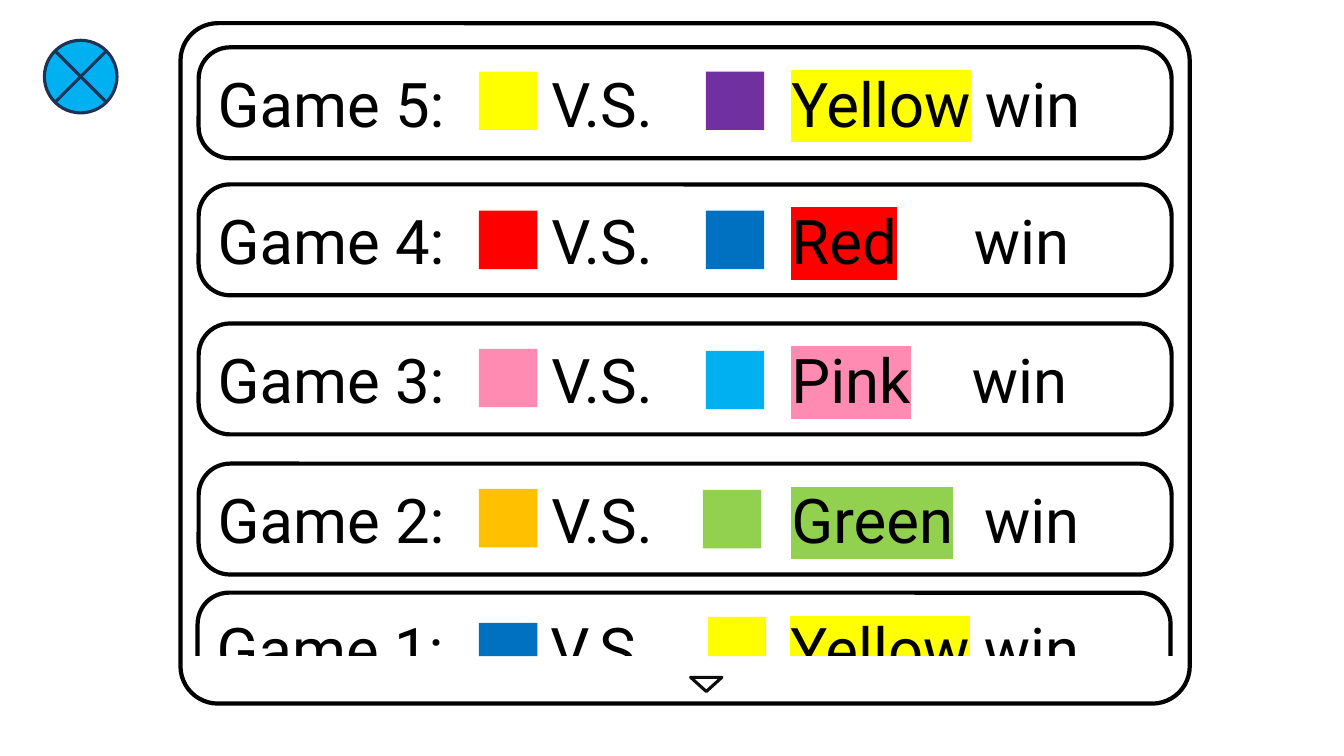
from dataclasses import dataclass

from lxml.etree import SubElement
from pptx import Presentation
from pptx.dml.color import RGBColor
from pptx.enum.shapes import MSO_SHAPE
from pptx.enum.text import MSO_ANCHOR, PP_ALIGN
from pptx.oxml import parse_xml
from pptx.oxml.ns import nsdecls, qn
from pptx.util import Inches, Pt


@dataclass(frozen=True)
class Theme:
    font: str = "Roboto"
    size: int = 44
    ink: str = "000000"
    paper: str = "FFFFFF"
    close_line: str = "1E3256"
    arrow_line: str = "0D0D0D"
    yellow: str = "FFFF00"
    purple: str = "7030A0"
    red: str = "FF0000"
    blue: str = "0070C0"
    pink: str = "FF8BB2"
    sky: str = "00B0F0"
    orange: str = "FFC000"
    green: str = "92D050"


THEME = Theme()
VERSUS_TAB, WINNER_TAB = 3.31, 5.69
SWATCH = 0.58
LIST_END = 6.51

# Game number, card left and top, winner, winner colour, tab of "win"
GAMES = [
    (5, 1.97, 0.47, "Yellow", THEME.yellow, 7.61),
    (4, 1.97, 1.83, "Red", THEME.red, 7.5),
    (3, 1.97, 3.21, "Pink", THEME.pink, 7.48),
    (2, 1.97, 4.6, "Green", THEME.green, 7.6),
    (1, 1.96, 5.88, "Yellow", THEME.yellow, 7.61),
]

# Left, top and colour of each player's square
PLAYERS = [
    (4.75, 0.71, THEME.yellow), (7, 0.71, THEME.purple),
    (4.75, 2.09, THEME.red), (7, 2.09, THEME.blue),
    (4.75, 3.46, THEME.pink), (7, 3.48, THEME.sky),
    (4.75, 4.85, THEME.orange), (6.97, 4.86, THEME.green),
    (4.75, 6.18, THEME.blue), (7.02, 6.12, THEME.yellow),
]


def add_box(s, kind, left, top, width, height, fill=None, line=None,
            weight=3, corner=None):
    sp = s.shapes.add_shape(kind, Inches(left), Inches(top),
                            Inches(width), Inches(height))
    sp.shadow.inherit = False
    if fill:
        sp.fill.solid()
        sp.fill.fore_color.rgb = RGBColor.from_string(fill)
    else:
        sp.fill.background()
    if line:
        sp.line.color.rgb = RGBColor.from_string(line)
        sp.line.width = Pt(weight)
    else:
        sp.line.fill.background()
    if corner is not None:
        sp.adjustments[0] = corner
    return sp


def add_text(p, text, size=THEME.size, color=THEME.ink, highlight=None):
    r = p.add_run()
    r.text = text
    r.font.size = Pt(size)
    r.font.name = THEME.font
    r.font.color.rgb = RGBColor.from_string(color)
    if highlight:
        mark = parse_xml(f'<a:highlight {nsdecls("a")}>'
                         f'<a:srgbClr val="{highlight}"/></a:highlight>')
        r.font._element.find(qn("a:solidFill")).addnext(mark)
    return r


def set_tabs(p, positions):
    tabs = SubElement(p._p.get_or_add_pPr(), qn("a:tabLst"))
    for position in positions:
        SubElement(tabs, qn("a:tab"), pos=str(Inches(position)), algn="l")


def add_game(s, number, left, top, winner, color, win_tab):
    sp = add_box(s, MSO_SHAPE.ROUNDED_RECTANGLE, left, top, 9.65, 1.1,
                 fill=THEME.paper, line=THEME.ink, corner=0.283)
    tf = sp.text_frame
    tf.vertical_anchor = MSO_ANCHOR.MIDDLE
    p = tf.paragraphs[0]
    p.alignment = PP_ALIGN.LEFT
    set_tabs(p, (VERSUS_TAB, WINNER_TAB, win_tab))
    add_text(p, f"Game {number}:\tV.S.\t")
    add_text(p, winner, highlight=color)
    add_text(p, "\twin")


def add_player(s, left, top, color):
    # Squares stop where the scrolling list is cut off
    height = min(SWATCH, LIST_END - top)
    add_box(s, MSO_SHAPE.RECTANGLE, left, top, SWATCH, height, fill=color)


def main():
    prs = Presentation()
    prs.slide_width, prs.slide_height = Inches(13.33), Inches(7.5)
    s = prs.slides.add_slide(prs.slide_layouts[6])

    # Close button
    add_box(s, MSO_SHAPE.FLOWCHART_SUMMING_JUNCTION, 0.44, 0.4, 0.72, 0.72,
            fill=THEME.sky, line=THEME.close_line, weight=2.25)

    # Game cards
    for game in GAMES:
        add_game(s, *game)

    # Lower edge of the list, frame and scroll arrow
    add_box(s, MSO_SHAPE.RECTANGLE, 1.48, LIST_END, 10.56, 0.87,
            fill=THEME.paper)
    add_box(s, MSO_SHAPE.ROUNDED_RECTANGLE, 1.79, 0.23, 10.01, 6.75,
            line=THEME.ink, corner=0.055)
    arrow = add_box(s, MSO_SHAPE.ISOSCELES_TRIANGLE, 6.85, 6.72, 0.31, 0.14,
                    fill=THEME.paper, line=THEME.arrow_line, weight=2.25)
    arrow.rotation = 180

    # Player squares
    for player in PLAYERS:
        add_player(s, *player)

    prs.save("out.pptx")


if __name__ == "__main__":
    main()
